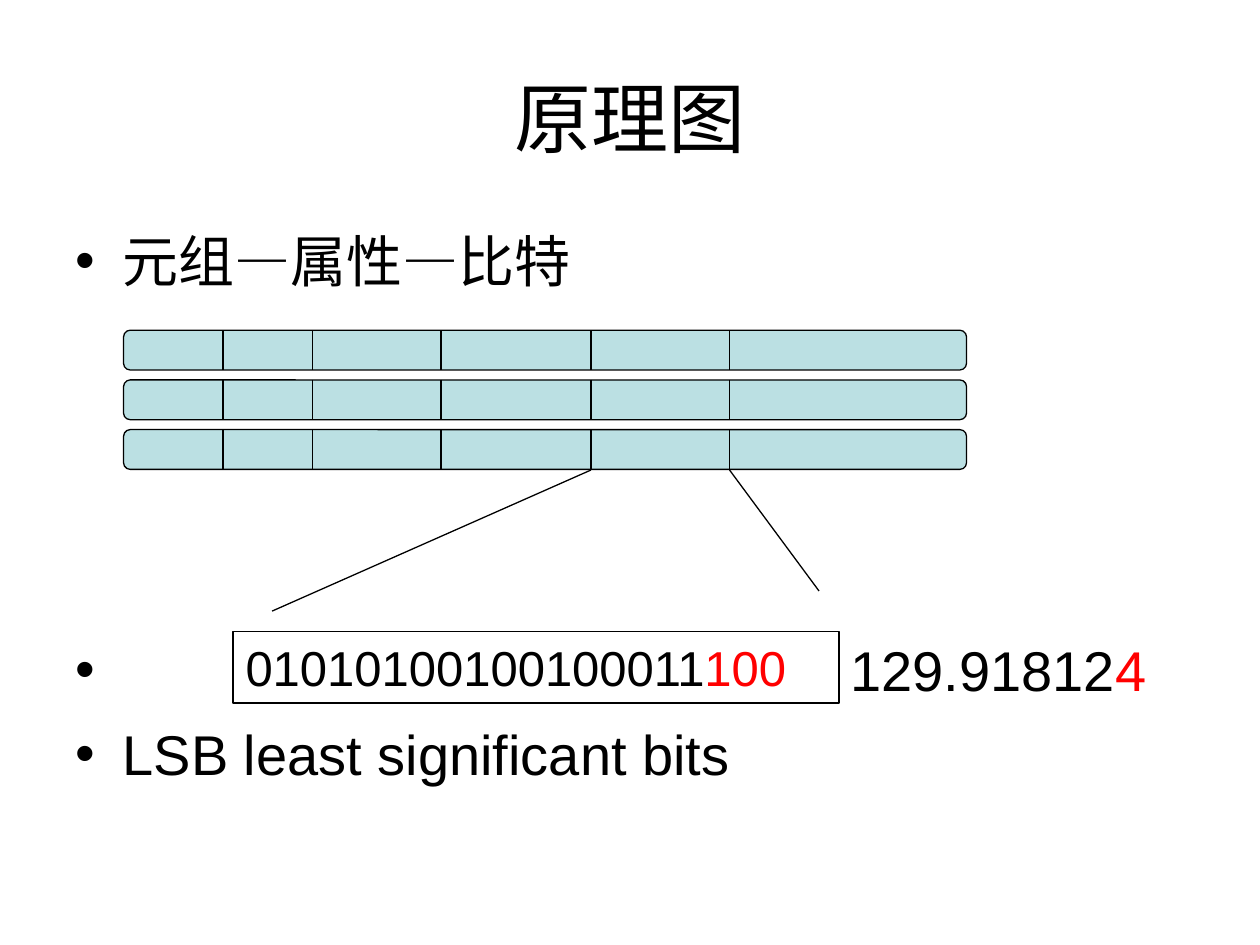
import pptx
import pptx.util
import pptx.dml.color
import pptx.enum.shapes
import pptx.enum.text
import pptx.oxml
import pptx.oxml.ns

Pt = pptx.util.Pt
SHAPES = pptx.enum.shapes.MSO_SHAPE
ALIGN = pptx.enum.text.PP_ALIGN
ANCHOR = pptx.enum.text.MSO_ANCHOR

# Content
COLORS = {"ink": "000000", "tuple": "BBE0E3", "marked": "FF0000"}
TITLE = [("原理图", "ink")]
# Runs, hanging indent, space before
BULLETS = [
    ([("元组—属性—比特", "ink")], 27, 0),
    ([("129.91812", "ink"), ("4", "marked")], 442.8, 195.3),
    ([("LSB least significant bits", "ink")], 27, 9.6),
]
BITS = [("01010100100100011", "ink"), ("100", "marked")]

# Layout
TUPLE_COUNT = 3
TUPLE_LEFT, TUPLE_TOP, TUPLE_WIDTH, TUPLE_HEIGHT = 70.6, 188.7, 481.7, 22.7
TUPLE_STEP = 28.4
DIVIDERS = [127.4, 178.6, 252, 337.7, 416.9]
ZOOM_TOP = 268.6
ZOOM_ENDS = [(DIVIDERS[3], 155.5, 349.2), (DIVIDERS[4], 468, 337.7)]


def color(name):
    return pptx.dml.color.RGBColor.from_string(COLORS[name])


def write_runs(paragraph, runs, size):
    paragraph.text = ""
    for text, color_name in runs:
        run = paragraph.add_run()
        run.text = text
        run.font.name = "Arial"
        run.font.size = Pt(size)
        run.font.color.rgb = color(color_name)


def add_bullet(paragraph, indent):
    properties = paragraph._p.get_or_add_pPr()
    properties.set("marL", str(Pt(indent)))
    properties.set("indent", str(-Pt(indent)))
    namespace = pptx.oxml.ns.nsdecls("a")
    properties.append(pptx.oxml.parse_xml(f'<a:buFont {namespace} typeface="Arial"/>'))
    properties.append(pptx.oxml.parse_xml(f'<a:buChar {namespace} char="•"/>'))


def add_text_box(shapes, left, top, width, height, anchor):
    text_frame = shapes.add_textbox(Pt(left), Pt(top), Pt(width), Pt(height)).text_frame
    text_frame.word_wrap = True
    text_frame.vertical_anchor = anchor
    return text_frame


def add_box(shapes, preset, left, top, width, height):
    shape = shapes.add_shape(preset, Pt(left), Pt(top), Pt(width), Pt(height))
    shape.shadow.inherit = False
    shape.line.color.rgb = color("ink")
    shape.line.width = Pt(0.75)
    return shape


def add_line(shapes, x1, y1, x2, y2):
    line = shapes.add_connector(
        pptx.enum.shapes.MSO_CONNECTOR.STRAIGHT, Pt(x1), Pt(y1), Pt(x2), Pt(y2))
    line.line.color.rgb = color("ink")
    line.line.width = Pt(0.75)
    line._element.spPr.append(
        pptx.oxml.parse_xml(f'<a:effectLst {pptx.oxml.ns.nsdecls("a")}/>'))


def add_tuple(slide, top):
    shapes = slide.shapes.add_group_shape().shapes
    bar = add_box(shapes, SHAPES.ROUNDED_RECTANGLE,
                  TUPLE_LEFT, top, TUPLE_WIDTH, TUPLE_HEIGHT)
    bar.adjustments[0] = 0.167
    bar.fill.solid()
    bar.fill.fore_color.rgb = color("tuple")
    for x in DIVIDERS:
        add_line(shapes, x, top, x, top + TUPLE_HEIGHT)


def main():
    presentation = pptx.Presentation()
    presentation.slide_width, presentation.slide_height = Pt(720), Pt(540)
    slide = presentation.slides.add_slide(presentation.slide_layouts[6])

    # Title
    title = add_text_box(slide.shapes, 36, 21.6, 648, 90, ANCHOR.MIDDLE)
    title.paragraphs[0].alignment = ALIGN.CENTER
    write_runs(title.paragraphs[0], TITLE, 44)

    # Bulleted text, leaving room for the diagram
    body = add_text_box(slide.shapes, 36, 126, 648, 356.4, ANCHOR.TOP)
    for index, (runs, indent, space) in enumerate(BULLETS):
        paragraph = body.add_paragraph() if index else body.paragraphs[0]
        paragraph.space_before = Pt(space)
        add_bullet(paragraph, indent)
        write_runs(paragraph, runs, 32)

    # Tuples divided into attributes
    for index in range(TUPLE_COUNT):
        add_tuple(slide, TUPLE_TOP + index * TUPLE_STEP)

    # Zoom from one attribute to its bits
    for start_x, end_x, end_y in ZOOM_ENDS:
        add_line(slide.shapes, start_x, ZOOM_TOP, end_x, end_y)
    bit_box = add_box(slide.shapes, SHAPES.RECTANGLE, 133.2, 360.7, 346.3, 41)
    bit_box.fill.background()
    bit_box.text_frame.vertical_anchor = ANCHOR.TOP
    bit_box.text_frame.paragraphs[0].alignment = ALIGN.LEFT
    write_runs(bit_box.text_frame.paragraphs[0], BITS, 28)

    presentation.save("out.pptx")


if __name__ == "__main__":
    main()
